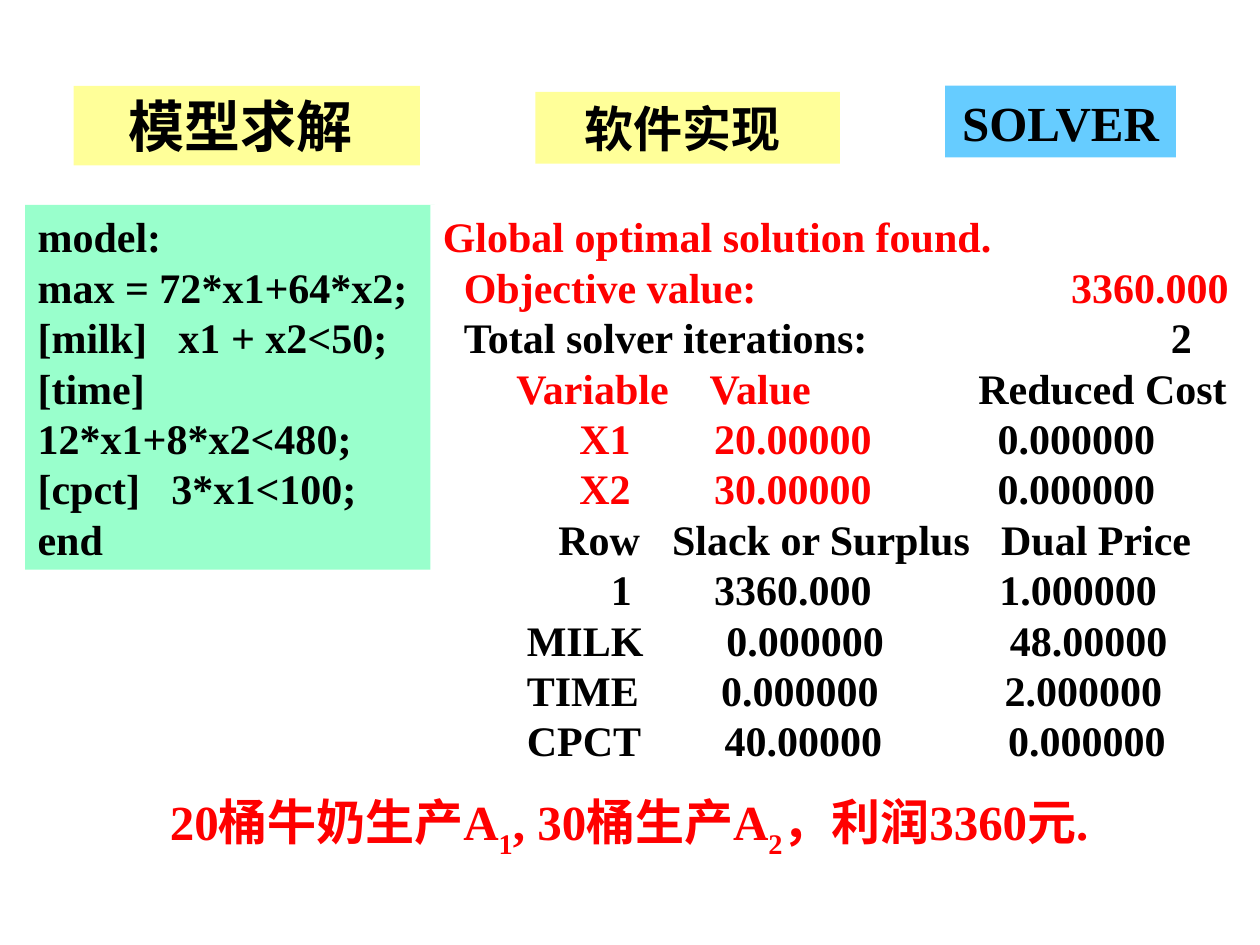
"""Build the slide on solving the milk production model with software."""
from lxml.etree import SubElement
from pptx import Presentation
from pptx.dml.color import RGBColor
from pptx.enum.shapes import MSO_SHAPE
from pptx.enum.text import MSO_ANCHOR, PP_ALIGN
from pptx.oxml.ns import qn
from pptx.util import Pt

THEME = {
    "black": "000000", "red": "FF0000", "white": "FFFFFF",
    "yellow": "FFFF99", "blue": "66CCFF", "green": "99FFCC",
    "latin": "Times New Roman", "asian": "Noto Sans CJK SC",
    "title": 32, "head": 28, "body": 24,
}

TITLE = ("模型求解 ", (42, 49, 198, 45.5))
HEADS = [
    ("软件实现 ", "asian", "yellow", (306, 52.5, 174, 41)),
    ("SOLVER ", "latin", "blue", (540, 49, 132, 41)),
]
MODEL = [
    [(0, "model:")],
    [(0, "max = 72*x1+64*x2;")],
    [(0, "[milk]"), (80.5, "x1 + x2<50;")],
    [(0, "[time] 12*x1+8*x2<480;")],
    [(0, "[cpct]"), (76.5, "3*x1<100;")],
    [(0, "end")],
]
REPORT = [
    [(0, "Global optimal solution found.", "red")],
    [(12, "Objective value:", "red"), (359, "3360.000", "red")],
    [(12, "Total solver iterations:"), (416, "2")],
    [(42, "Variable", "red"), (152.5, "Value", "red"), (306, "Reduced Cost")],
    [(78, "X1", "red"), (155, "20.00000", "red"), (317, "0.000000")],
    [(78, "X2", "red"), (155, "30.00000", "red"), (317, "0.000000")],
    [(66, "Row"), (131, "Slack or Surplus"), (319, "Dual Price")],
    [(96, "1"), (155, "3360.000"), (318, "1.000000")],
    [(48, "MILK"), (162, "0.000000"), (324, "48.00000")],
    [(48, "TIME"), (159, "0.000000"), (321, "2.000000")],
    [(48, "CPCT"), (161, "40.00000"), (323, "0.000000")],
]
LISTS = [
    (MODEL, "green", (14.4, 117, 234, 208.5)),
    (REPORT, "white", (246, 117, 468, 323.5)),
]
RESULT = [("20桶牛奶生产A", 0), ("1", -30), (", 30桶生产A", 0), ("2", -30),
          ("，利润3360元. ", 0)]
RESULT_BOX = (60, 451.5, 606, 41)


def tint(name):
    return RGBColor.from_string(THEME[name])


def paint(shape, fill):
    shape.fill.solid()
    shape.fill.fore_color.rgb = tint(fill)


def block(slide, box, fill):
    shape = slide.shapes.add_shape(MSO_SHAPE.RECTANGLE, *map(Pt, box))
    shape.shadow.inherit = False
    shape.line.fill.background()
    paint(shape, fill)
    return shape


def frame(shape, anchor, align):
    text = shape.text_frame
    text.word_wrap = True
    text.vertical_anchor = anchor
    text.paragraphs[0].alignment = align
    return text


def write(para, words, size, color="black", face="latin", base=0):
    run = para.add_run()
    run.text = words
    font = run.font
    font.size, font.bold, font.name = Pt(THEME[size]), True, THEME[face]
    font.color.rgb = tint(color)
    props = font._element
    SubElement(props, qn("a:ea"), typeface=THEME["asian"])
    if base:
        props.set("baseline", str(base * 1000))


def set_tabs(para, stops):
    tabs = SubElement(para._p.get_or_add_pPr(), qn("a:tabLst"))
    for stop in stops:
        SubElement(tabs, qn("a:tab"), pos=str(Pt(stop)), algn="l")


def fill_list(text, rows):
    for i, row in enumerate(rows):
        para = text.add_paragraph() if i else text.paragraphs[0]
        para.alignment = PP_ALIGN.LEFT
        stops = [cell[0] for cell in row if cell[0]]
        if stops:
            set_tabs(para, stops)
        for stop, words, *color in row:
            write(para, ("\t" if stop else "") + words, "body", *color)


def main():
    deck = Presentation()
    deck.slide_width, deck.slide_height = Pt(720), Pt(540)
    slide = deck.slides.add_slide(deck.slide_layouts[5])

    words, box = TITLE
    title = slide.shapes.title
    title.left, title.top, title.width, title.height = map(Pt, box)
    paint(title, "yellow")
    text = frame(title, MSO_ANCHOR.MIDDLE, PP_ALIGN.CENTER)
    write(text.paragraphs[0], words, "title", face="asian")

    for words, face, fill, box in HEADS:
        text = frame(block(slide, box, fill), MSO_ANCHOR.MIDDLE, PP_ALIGN.CENTER)
        write(text.paragraphs[0], words, "head", face=face)

    for rows, fill, box in LISTS:
        text = frame(block(slide, box, fill), MSO_ANCHOR.TOP, PP_ALIGN.LEFT)
        fill_list(text, rows)

    result = slide.shapes.add_textbox(*map(Pt, RESULT_BOX))
    text = frame(result, MSO_ANCHOR.MIDDLE, PP_ALIGN.CENTER)
    for words, base in RESULT:
        write(text.paragraphs[0], words, "head", "red", base=base)

    deck.save("out.pptx")


if __name__ == "__main__":
    main()
